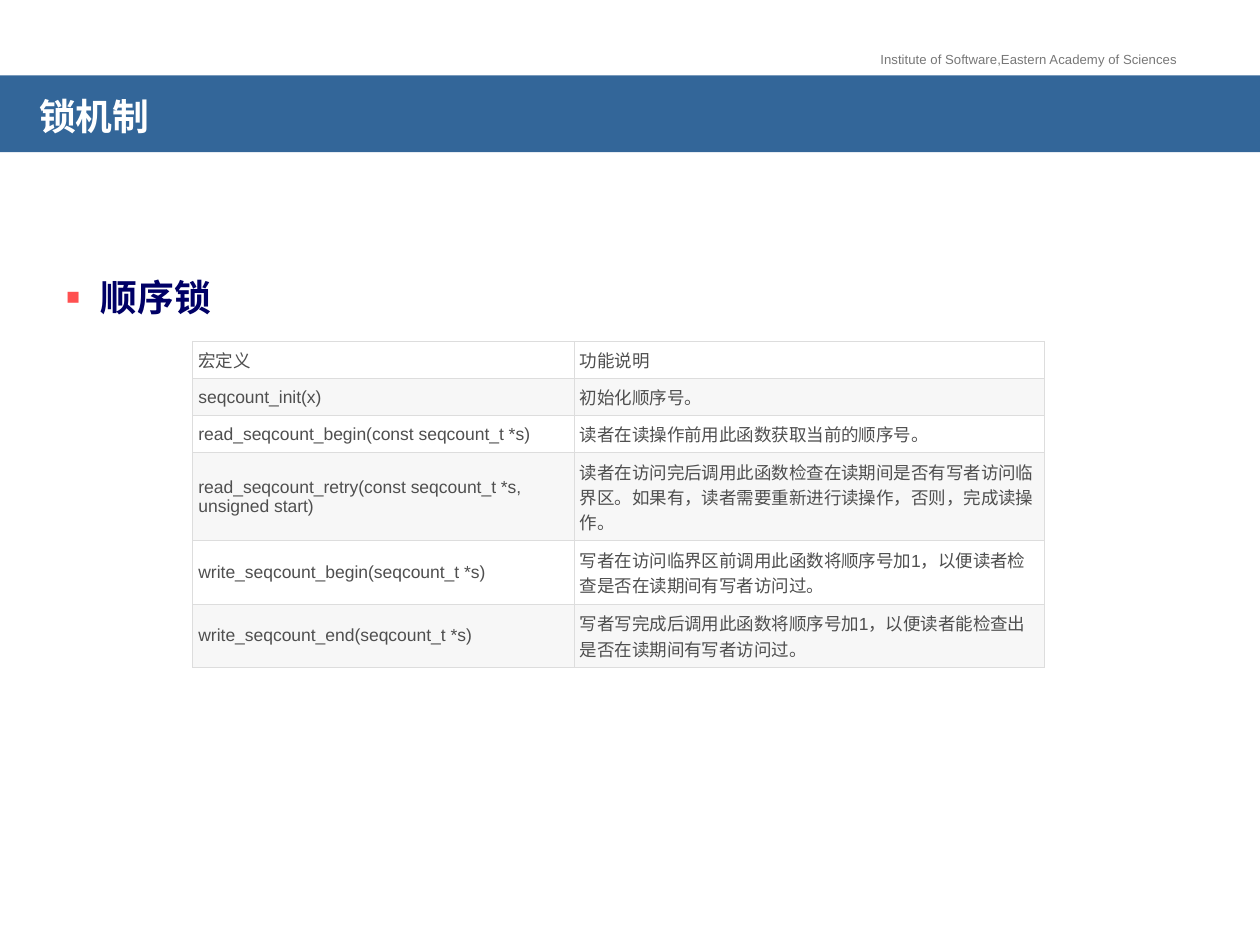
from lxml import etree
from pptx import Presentation
from pptx.dml.color import RGBColor
from pptx.enum.shapes import MSO_SHAPE
from pptx.enum.text import MSO_ANCHOR, PP_ALIGN
from pptx.oxml.ns import qn
from pptx.util import Cm, Pt

RECTANGLE = MSO_SHAPE.RECTANGLE
MIDDLE = MSO_ANCHOR.MIDDLE
LEFT = PP_ALIGN.LEFT

WHITE = RGBColor(0xFF, 0xFF, 0xFF)
BAND_BLUE = RGBColor(0x33, 0x66, 0x99)
NAVY = RGBColor(0x00, 0x00, 0x66)
CORAL = RGBColor(0xFF, 0x50, 0x50)
GREY = RGBColor(0x77, 0x77, 0x77)
DARK_GREY = RGBColor(0x4F, 0x4F, 0x4F)
STRIPE = RGBColor(0xF7, 0xF7, 0xF7)
RULE_GREY = RGBColor(0xDD, 0xDD, 0xDD)

CJK_FONT = "Noto Sans CJK SC"
CREDIT_FONT = {"name": "Arial", "size": Pt(7.5)}
TITLE_FONT = {"name": CJK_FONT, "size": Pt(21), "bold": True}
TOPIC_FONT = {"name": "Times New Roman", "size": Pt(21), "bold": True}
CELL_FONT = {"name": "Arial", "size": Pt(10)}

COLUMN_WIDTHS = (7.69, 9.48)
ROW_HEIGHTS = (0.75, 0.75, 0.75, 1.77, 1.28, 1.28)
MACROS = (
    ("宏定义", "功能说明"),
    ("seqcount_init(x)", "初始化顺序号。"),
    ("read_seqcount_begin(const seqcount_t *s)",
     "读者在读操作前用此函数获取当前的顺序号。"),
    ("read_seqcount_retry(const seqcount_t *s, unsigned start)",
     "读者在访问完后调用此函数检查在读期间是否有写者访问临界区。"
     "如果有，读者需要重新进行读操作，否则，完成读操作。"),
    ("write_seqcount_begin(seqcount_t *s)",
     "写者在访问临界区前调用此函数将顺序号加1，以便读者检查是否在读期间有写者访问过。"),
    ("write_seqcount_end(seqcount_t *s)",
     "写者写完成后调用此函数将顺序号加1，以便读者能检查出是否在读期间有写者访问过。"),
)


def set_values(target, values):
    """Set each attribute named in values on the target."""
    for name, value in values.items():
        setattr(target, name, value)


def write_text(frame, text, font, color):
    """Put one formatted run into a text frame and return its paragraph."""
    para = frame.paragraphs[0]
    para.alignment = LEFT
    span = para.add_run()
    span.text = text
    set_values(span.font, font)
    span.font.color.rgb = color
    etree.SubElement(span.font._element, qn("a:ea"), typeface=CJK_FONT)
    return para


def add_color(parent, color):
    """Append an RGB colour element to the parent."""
    etree.SubElement(parent, qn("a:srgbClr"), val=str(color))


def add_credit(page, left, top, width, height):
    """Add the small institute line above the title band."""
    box = page.shapes.add_textbox(left, top, width, height)
    box.text_frame.word_wrap = False
    write_text(box.text_frame, "Institute of Software,Eastern Academy of Sciences",
               CREDIT_FONT, GREY)


def add_title_band(page, left, top, width, height):
    """Add the full-width band that carries the title."""
    band = page.shapes.add_shape(RECTANGLE, left, top, width, height)
    band.shadow.inherit = False
    band.fill.solid()
    band.fill.fore_color.rgb = BAND_BLUE
    band.line.fill.background()
    set_values(band.text_frame, {
        "word_wrap": True, "vertical_anchor": MIDDLE,
        "margin_left": Cm(0.79), "margin_right": Cm(0.79),
        "margin_top": Cm(0.41), "margin_bottom": Cm(0.13)})
    para = write_text(band.text_frame, "锁机制", TITLE_FONT, WHITE)
    para.line_spacing = 0.7


def add_topic(page, left, top, width, height):
    """Add the bulleted topic line."""
    box = page.shapes.add_textbox(left, top, width, height)
    box.text_frame.word_wrap = True
    para = write_text(box.text_frame, "顺序锁", TOPIC_FONT, NAVY)
    para.space_before = Pt(4.2)
    properties = para._p.get_or_add_pPr()
    indent = Cm(0.71)
    properties.set("marL", str(indent))
    properties.set("indent", str(-indent))
    add_color(etree.SubElement(properties, qn("a:buClr")), CORAL)
    etree.SubElement(properties, qn("a:buSzPct"), val="120000")
    etree.SubElement(properties, qn("a:buFont"), typeface="Arial")
    etree.SubElement(properties, qn("a:buChar"), char="▪")


def set_borders(cell):
    """Draw a thin grey rule on all four sides of a cell."""
    properties = cell._tc.get_or_add_tcPr()
    for position, side in enumerate(("lnL", "lnR", "lnT", "lnB")):
        rule = etree.Element(qn("a:" + side), w=str(Pt(0.6)))
        add_color(etree.SubElement(rule, qn("a:solidFill")), RULE_GREY)
        properties.insert(position, rule)


def add_macro_table(page, left, top):
    """Add the striped table of macros and their functions."""
    table = page.shapes.add_table(
        len(MACROS), len(COLUMN_WIDTHS), left, top,
        Cm(sum(COLUMN_WIDTHS)), Cm(sum(ROW_HEIGHTS))).table
    set_values(table, {"first_row": False, "horz_banding": False})
    for column, width in zip(table.columns, COLUMN_WIDTHS):
        column.width = Cm(width)
    sides = ("left", "right", "top", "bottom")
    cell_format = {"margin_" + side: Cm(0.12) for side in sides}
    cell_format["vertical_anchor"] = MIDDLE
    for index, (row, texts) in enumerate(zip(table.rows, MACROS)):
        row.height = Cm(ROW_HEIGHTS[index])
        for cell, text in zip(row.cells, texts):
            set_values(cell, cell_format)
            cell.fill.solid()
            cell.fill.fore_color.rgb = STRIPE if index % 2 else WHITE
            set_borders(cell)
            write_text(cell.text_frame, text, CELL_FONT, DARK_GREY)


def build_deck():
    """Build the one-page deck and save it."""
    deck = Presentation()
    set_values(deck, {"slide_width": Cm(25.4), "slide_height": Cm(19.05)})
    page = deck.slides.add_slide(deck.slide_layouts[6])
    add_credit(page, Cm(17.5), Cm(0.91), Cm(6.55), Cm(0.58))
    add_topic(page, Cm(1.07), Cm(5.41), Cm(5.11), Cm(1.47))
    add_title_band(page, Cm(0), Cm(1.52), deck.slide_width, Cm(1.55))
    add_macro_table(page, Cm(3.88), Cm(6.88))
    deck.save("out.pptx")


build_deck()
